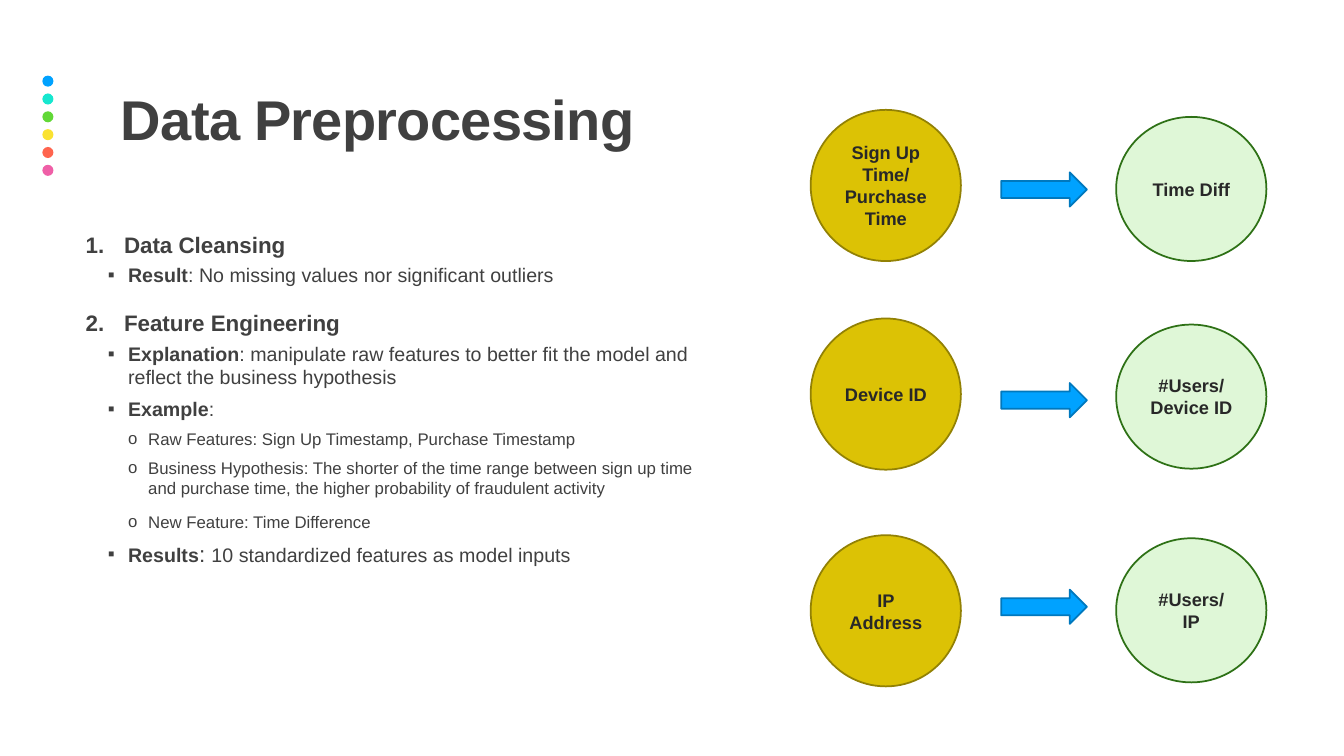
from lxml import etree
from pptx import Presentation
from pptx.dml.color import RGBColor
from pptx.enum.shapes import MSO_SHAPE
from pptx.enum.text import MSO_ANCHOR, PP_ALIGN
from pptx.oxml.ns import qn
from pptx.util import Inches, Pt

OVAL, ARROW = MSO_SHAPE.OVAL, MSO_SHAPE.RIGHT_ARROW
MIDDLE, TOP = MSO_ANCHOR.MIDDLE, MSO_ANCHOR.TOP
CENTER = PP_ALIGN.CENTER

FONT = "Arial"
GREY, DARK = "404040", "282828"
YELLOW, OLIVE = "DCC205", "928104"
MINT, GREEN = "DFF7D7", "2E7116"
BLUE, NAVY = "00A2FF", "0078BD"
DOTS = [BLUE, "16E7CF", "61D836", "FAE232", "FF644E", "EF5FA7"]

# Per level: text indent, hanging indent, size, space before, space after, bullet
LEVELS = [
    (0.38, 0.38, 16, 12, 2, None),
    (0.42, 0.2, 14, 2, 4, "▪"),
    (0.62, 0.2, 12, 2, 4, "o"),
]

# Level, bold lead, plain text
OUTLINE = [
    (0, "Data Cleansing", ""),
    (1, "Result", ": No missing values nor significant outliers"),
    (0, "Feature Engineering", ""),
    (1, "Explanation", ": manipulate raw features to better fit the model "
                       "and reflect the business hypothesis"),
    (1, "Example", ":"),
    (2, "", "Raw Features: Sign Up Timestamp, Purchase Timestamp"),
    (2, "", "Business Hypothesis: The shorter of the time range between sign up "
            "time and purchase time, the higher probability of fraudulent activity"),
    (2, "", "New Feature: Time Difference"),
    (1, "Results", ": 10 standardized features as model inputs"),
]
EXTRA_SPACE = {"New Feature: Time Difference": 4}
LARGE_LEAD = ": 10"

# Raw feature and its top, arrow top, new feature and its top
FEATURES = [
    ("Sign Up Time/ Purchase Time", 1.09, 1.71, "Time Diff", 1.16),
    ("Device ID", 3.16, 3.8, "#Users/\nDevice ID", 3.22),
    ("IP Address", 5.31, 5.85, "#Users/\nIP", 5.34),
]


def color(code):
    return RGBColor.from_string(code)


def set_font(font, size, code, bold):
    font.name = FONT
    font.size = Pt(size)
    font.color.rgb = color(code)
    font.bold = bold


def add_figure(page, kind, left, top, width, height, fill, line=None):
    figure = page.shapes.add_shape(
        kind, Inches(left), Inches(top), Inches(width), Inches(height))
    figure.shadow.inherit = False
    figure.fill.solid()
    figure.fill.fore_color.rgb = color(fill)
    if line:
        figure.line.color.rgb = color(line)
        figure.line.width = Pt(1.25)
    else:
        figure.line.fill.background()
    return figure


def add_circle(page, text, left, top, height, fill, line):
    circle = add_figure(page, OVAL, left, top, 1.49, height, fill, line)
    frame = circle.text_frame
    frame.word_wrap = True
    frame.vertical_anchor = MIDDLE
    frame.text = text
    for para in frame.paragraphs:
        para.alignment = CENTER
        set_font(para.font, 13, DARK, True)


def add_text_frame(page, left, top, width, height, anchor):
    box = page.shapes.add_textbox(
        Inches(left), Inches(top), Inches(width), Inches(height))
    frame = box.text_frame
    frame.word_wrap = True
    frame.margin_left = frame.margin_right = 0
    frame.vertical_anchor = anchor
    return frame


def add_title(page, text):
    para = add_text_frame(page, 1.2, 0.46, 6.29, 1.5, MIDDLE).paragraphs[0]
    para.line_spacing = 0.9
    set_font(para.font, 40, GREY, True)
    span = para.add_run()
    span.text = text
    span._r.get_or_add_rPr().set("spc", "-50")


def set_bullet(para, indent, hanging, bullet):
    """Give a hanging bullet, or a number where bullet is None."""
    props = para._p.get_or_add_pPr()
    props.set("marL", str(Inches(indent)))
    props.set("indent", str(-Inches(hanging)))
    etree.SubElement(props, qn("a:buFont")).set("typeface", FONT)
    if bullet:
        etree.SubElement(props, qn("a:buChar")).set("char", bullet)
    else:
        etree.SubElement(props, qn("a:buAutoNum")).set("type", "arabicPeriod")


def add_outline(page):
    frame = add_text_frame(page, 0.85, 2.24, 6.29, 4.41, TOP)
    for index, (level, lead, text) in enumerate(OUTLINE):
        para = frame.add_paragraph() if index else frame.paragraphs[0]
        indent, hanging, size, before, after, bullet = LEVELS[level]
        para.level = level
        para.space_before = Pt(before + EXTRA_SPACE.get(text, 0))
        para.space_after = Pt(after)
        set_bullet(para, indent, hanging, bullet)
        set_font(para.font, size, GREY, False)
        pieces = [(lead, True, size), (text, False, size)]
        if text.startswith(LARGE_LEAD):
            pieces[1:] = [(text[:2], False, 16), (text[2:], False, size)]
        for words, bold, points in pieces:
            if words:
                span = para.add_run()
                span.text = words
                span.font.bold = bold
                span.font.size = Pt(points)


def main():
    deck = Presentation()
    deck.slide_width, deck.slide_height = Inches(13.33), Inches(7.5)
    page = deck.slides.add_slide(deck.slide_layouts[6])
    for index, fill in enumerate(DOTS):
        add_figure(page, OVAL, 0.42, 0.75 + 0.177 * index, 0.11, 0.11, fill)
    add_title(page, "Data Preprocessing")
    add_outline(page)
    for raw, raw_top, arrow_top, new, new_top in FEATURES:
        add_circle(page, raw, 8.04, raw_top, 1.5, YELLOW, OLIVE)
        add_circle(page, new, 11.07, new_top, 1.43, MINT, GREEN)
        add_figure(page, ARROW, 9.93, arrow_top, 0.85, 0.34, BLUE, NAVY)
    deck.save("out.pptx")


if __name__ == "__main__":
    main()
